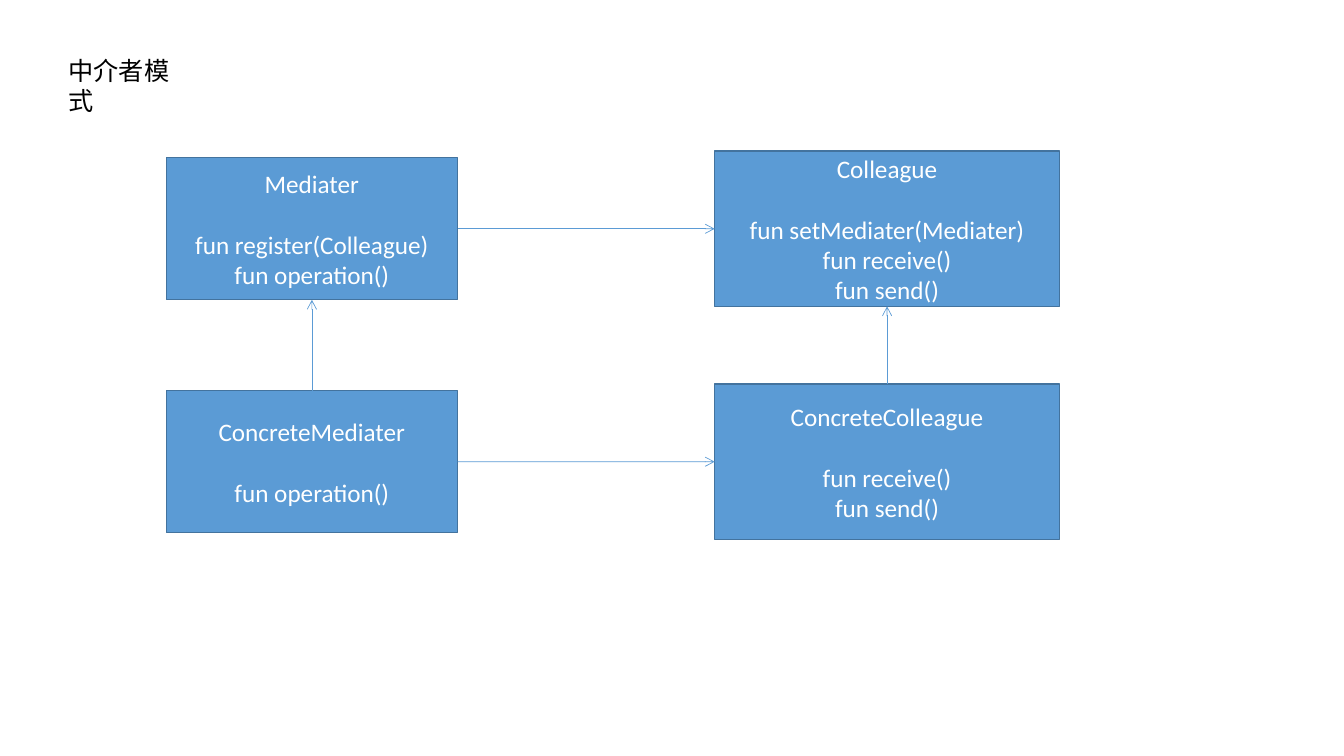
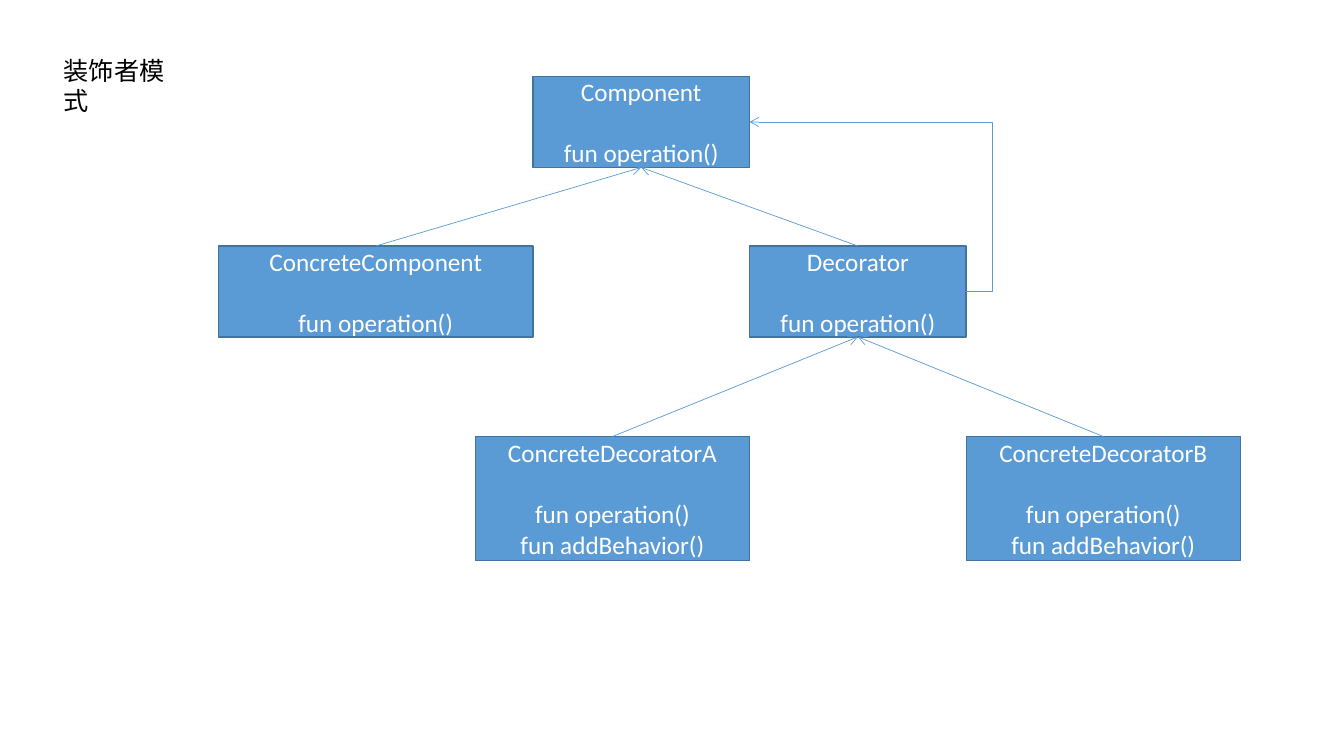
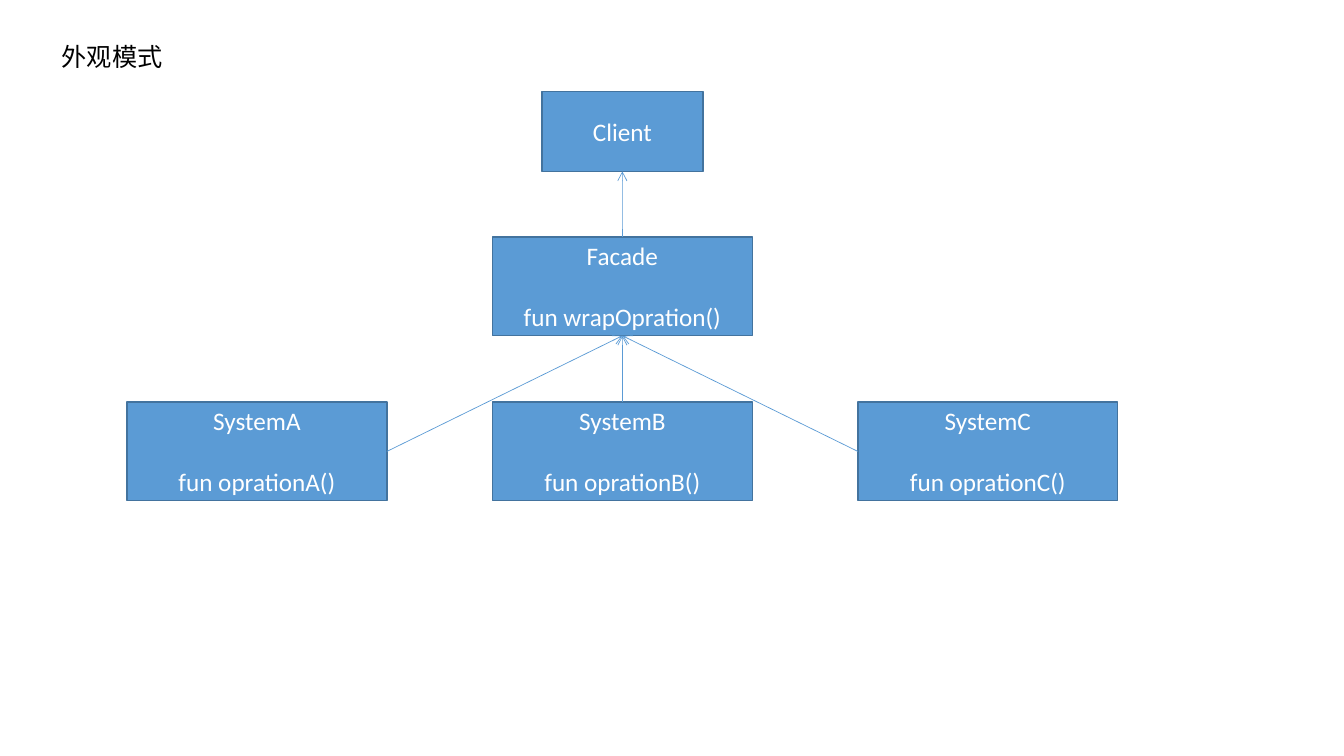
import pptx
import pptx.util
import pptx.dml.color
import pptx.enum.shapes
import pptx.enum.text
import pptx.oxml.ns
from lxml import etree

Cm, Pt = pptx.util.Cm, pptx.util.Pt
ALIGN = pptx.enum.text.PP_ALIGN
ANCHOR = pptx.enum.text.MSO_ANCHOR
FIT = pptx.enum.text.MSO_AUTO_SIZE
LINK = pptx.enum.shapes.MSO_CONNECTOR
RECT = pptx.enum.shapes.MSO_SHAPE.RECTANGLE
TOP, LEFT, BOTTOM, RIGHT = range(4)

COLORS = {"text": "000000", "node": "5B9BD5", "edge": "43739E", "node_text": "FFFFFF"}
FONT = {"name": "Calibri", "size": Pt(18), "bold": False}
TITLE_FRAME = {"word_wrap": False, "auto_size": FIT.SHAPE_TO_FIT_TEXT, "vertical_anchor": ANCHOR.TOP}
NODE_FRAME = {"word_wrap": True, "vertical_anchor": ANCHOR.MIDDLE}
MEMBER_GAP = Pt(22)


def rgb(key):
    return pptx.dml.color.RGBColor.from_string(COLORS[key])


def apply(target, values):
    for name, value in values.items():
        setattr(target, name, value)


def write(tf, lines, frame, align, color):
    apply(tf, frame)
    for i, line in enumerate(lines):
        p = tf.paragraphs[0] if i == 0 else tf.add_paragraph()
        p.alignment = align
        if i == 1:
            p.space_before = MEMBER_GAP
        r = p.add_run()
        r.text = line
        apply(r.font, FONT)
        r.font.color.rgb = rgb(color)


def add_slide(prs, title, x, y, w):
    s = prs.slides.add_slide(prs.slide_layouts[5])
    sp = s.shapes.title
    apply(sp, {"left": Cm(x), "top": Cm(y), "width": Cm(w), "height": Cm(1.02)})
    write(sp.text_frame, [title], TITLE_FRAME, ALIGN.LEFT, "text")
    return s


def node(s, x, y, w, h, *lines):
    sp = s.shapes.add_shape(RECT, Cm(x), Cm(y), Cm(w), Cm(h))
    sp.shadow.inherit = False
    sp.fill.solid()
    sp.fill.fore_color.rgb = rgb("node")
    sp.line.color.rgb = rgb("edge")
    sp.line.width = Pt(1)
    write(sp.text_frame, lines, NODE_FRAME, ALIGN.CENTER, "node_text")
    return sp


def arrow(s, start, start_side, end, end_side, kind=LINK.STRAIGHT):
    c = s.shapes.add_connector(kind, 0, 0, 0, 0)
    c.begin_connect(start, start_side)
    c.end_connect(end, end_side)
    c.line.color.rgb = rgb("node")
    c.line.width = Pt(0.5)
    qn = pptx.oxml.ns.qn
    etree.SubElement(c.line._get_or_add_ln(), qn("a:tailEnd"), type="arrow")
    etree.SubElement(c._element.spPr, qn("a:effectLst"))
    return c


def bend(c, ratio):
    qn = pptx.oxml.ns.qn
    guides = c._element.spPr.find(qn("a:prstGeom")).find(qn("a:avLst"))
    etree.SubElement(guides, qn("a:gd"), name="adj1", fmla=f"val {round(ratio * 100000)}")


def mediator_diagram(s, x, y, w, h):
    mw, mh, cw, ch = 7.34, 3.58, 8.69, 3.91
    cx, low = x + w - cw, y + h - ch
    inset = (ch - mh) / 2
    mediater = node(s, x, y + inset, mw, mh,
                    "Mediater", "fun register(Colleague)", "fun operation()")
    concrete_mediater = node(s, x, low + inset, mw, mh, "ConcreteMediater", "fun operation()")
    colleague = node(s, cx, y, cw, ch, "Colleague", "fun setMediater(Mediater)",
                     "fun receive()", "fun send()")
    concrete_colleague = node(s, cx, low, cw, ch,
                              "ConcreteColleague", "fun receive()", "fun send()")
    arrow(s, concrete_mediater, TOP, mediater, BOTTOM)
    arrow(s, concrete_colleague, TOP, colleague, BOTTOM)
    arrow(s, mediater, RIGHT, colleague, LEFT)
    arrow(s, concrete_mediater, RIGHT, concrete_colleague, LEFT)


def decorator_diagram(s, x, y, w, h):
    nw, nh, leaf_w, leaf_h = 5.46, 2.29, 6.91, 3.12
    leaf_x = x + w - leaf_w
    decorator_x = leaf_x - nw
    component_x = decorator_x - nw
    middle, low = y + 4.27, y + h - leaf_h
    operation = "fun operation()"
    component = node(s, component_x, y, nw, nh, "Component", operation)
    concrete = node(s, x, middle, component_x - x, nh, "ConcreteComponent", operation)
    decorator = node(s, decorator_x, middle, nw, nh, "Decorator", operation)
    for child in (concrete, decorator):
        arrow(s, child, TOP, component, BOTTOM)
    for letter, left in (("A", decorator_x - leaf_w), ("B", leaf_x)):
        leaf = node(s, left, low, leaf_w, leaf_h,
                    f"ConcreteDecorator{letter}", operation, "fun addBehavior()")
        arrow(s, leaf, TOP, decorator, BOTTOM)
    bend(arrow(s, decorator, RIGHT, component, RIGHT, LINK.ELBOW), -0.12)


def facade_diagram(s, x, y, w, h):
    nw, nh, client_w, client_h = 6.55, 2.49, 4.06, 2.01
    pitch = (w - nw) / 2
    client = node(s, x + (w - client_w) / 2, y, client_w, client_h, "Client")
    facade = node(s, x + pitch, y + 3.66, nw, nh, "Facade", "fun wrapOpration()")
    arrow(s, facade, TOP, client, BOTTOM)
    for i, (letter, side) in enumerate((("A", RIGHT), ("B", TOP), ("C", LEFT))):
        system = node(s, x + i * pitch, y + h - nh, nw, nh,
                      f"System{letter}", f"fun opration{letter}()")
        arrow(s, system, side, facade, BOTTOM)


prs = pptx.Presentation()
prs.slide_width, prs.slide_height = Cm(33.87), Cm(19.05)
mediator_diagram(add_slide(prs, "中介者模式", 1.47, 1.27, 3.68), 4.19, 3.81, 22.51, 9.78)
decorator_diagram(add_slide(prs, "装饰者模式", 1.35, 1.27, 3.68), 5.51, 1.93, 25.75, 12.19)
facade_diagram(add_slide(prs, "外观模式", 1.3, 0.91, 3.05), 3.2, 2.31, 24.97, 10.31)
prs.save("out.pptx")
